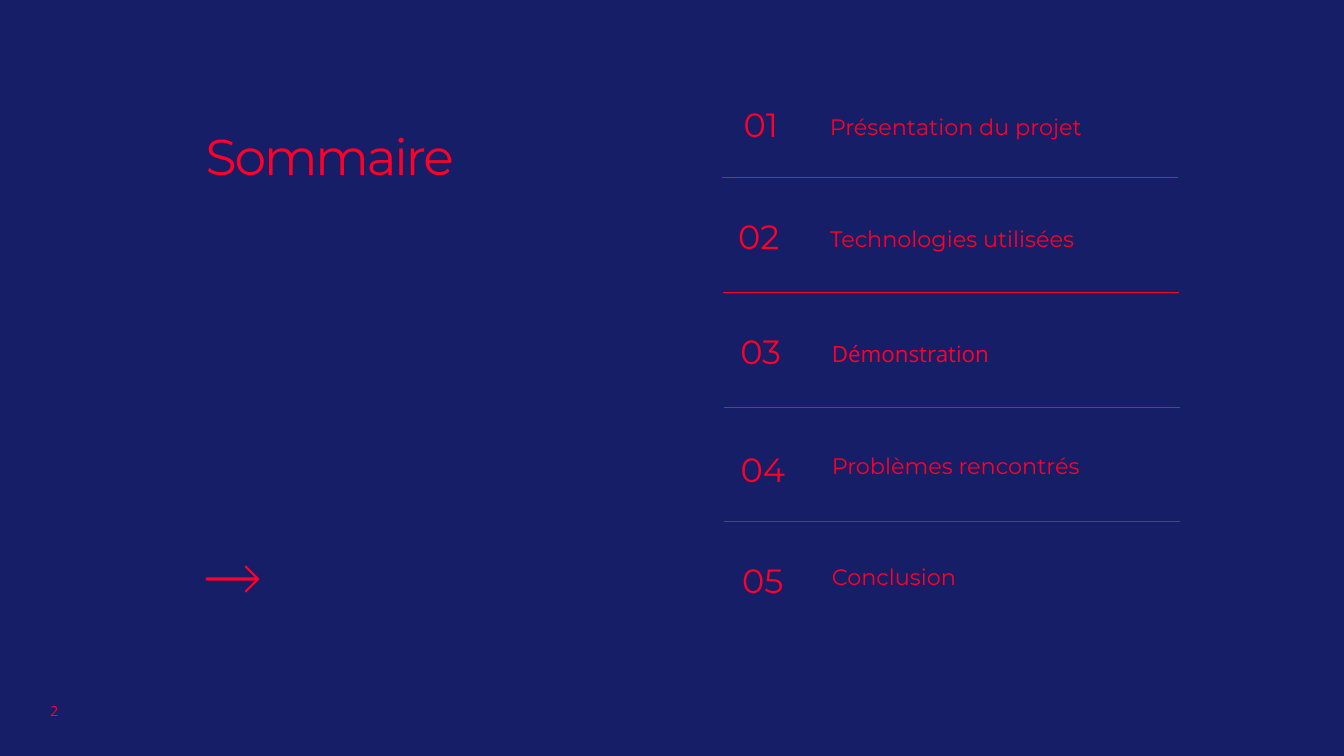
from dataclasses import dataclass
from lxml import etree
from pptx import Presentation
from pptx.dml.color import RGBColor
from pptx.enum import shapes, text
from pptx.oxml import ns
from pptx.util import Inches, Pt


@dataclass(frozen=True)
class Theme:
    night: RGBColor = RGBColor.from_string("151E67")
    red: RGBColor = RGBColor.from_string("FF0028")
    faint: RGBColor = RGBColor.from_string("434881")
    heading_font: str = "Montserrat"
    plain_font: str = "Open Sans"
    title_size: int = 36
    number_size: int = 24
    entry_size: int = 16
    page_size: int = 10


THEME = Theme()
TITLE = "Sommaire"
PAGE_NUMBER = "2"
ENTRIES = [
    ("Présentation du projet", THEME.heading_font, (8.23, 1.15), (7.2, 1.09)),
    ("Technologies utilisées", THEME.heading_font, (8.23, 2.26), (7.18, 2.2)),
    ("Démonstration", THEME.plain_font, (8.25, 3.4), (7.2, 3.34)),
    ("Problèmes rencontrés", THEME.heading_font, (8.25, 4.51), (7.22, 4.51)),
    ("Conclusion", THEME.heading_font, (8.25, 5.61), (7.22, 5.61)),
]
RULE_WIDTH = 4.52
RULES = [
    (7.16, 1.76, THEME.red, 1),
    (7.17, 2.9, THEME.red, 1),
    (7.18, 4.04, THEME.red, 1),
    (7.18, 5.17, THEME.faint, 0.5),
]
ARROW = [
    (257, 574), (245, 562), (244, 561), (243, 562), (243, 563), (253, 573),
    (205, 573), (204, 574), (204, 575), (205, 576), (253, 576), (243, 586),
    (243, 587), (244, 588), (245, 587), (257, 575),
]


def style(frame, words, font, size, align, spacing=1.0):
    frame.word_wrap = True
    frame.text = words
    para = frame.paragraphs[0]
    para.alignment = align
    para.line_spacing = spacing
    para.font.name = font
    para.font.size = Pt(size)
    para.font.color.rgb = THEME.red
    return para


def add_box(page, place, size, margin):
    box = page.shapes.add_textbox(*map(Inches, (*place, *size)))
    frame = box.text_frame
    frame.margin_left = frame.margin_right = 0
    frame.margin_top = frame.margin_bottom = Inches(margin)
    return frame


def add_title(page):
    title = page.shapes.title
    title.left, title.top, title.width, title.height = map(Inches, (2.04, 1.15, 4.62, 1.77))
    frame = title.text_frame
    frame.margin_left = frame.margin_right = frame.margin_bottom = 0
    frame.margin_top = Inches(0.21)
    frame.vertical_anchor = text.MSO_ANCHOR.TOP
    frame.auto_size = text.MSO_AUTO_SIZE.NONE
    para = style(frame, TITLE, THEME.heading_font, THEME.title_size, text.PP_ALIGN.LEFT, 0.8)
    para.runs[0].font._element.set("spc", "-150")


def add_entry(page, number, entry):
    words, font, words_at, number_at = entry
    parts = [
        (words_at, (3.02, 0.29), words, font, THEME.entry_size, text.PP_ALIGN.LEFT),
        (number_at, (0.69, 0.39), f"{number:02d}", THEME.heading_font,
         THEME.number_size, text.PP_ALIGN.CENTER),
    ]
    for place, size, words, font, points, align in parts:
        frame = add_box(page, place, size, 0.05)
        style(frame, words, font, points, align, 0.7)
        frame.auto_size = text.MSO_AUTO_SIZE.SHAPE_TO_FIT_TEXT


def add_rule(page, left, top, color, weight):
    rule = page.shapes.add_connector(
        shapes.MSO_CONNECTOR.STRAIGHT,
        Inches(left), Inches(top), Inches(left + RULE_WIDTH), Inches(top))
    rule.line.color.rgb = color
    rule.line.width = Pt(weight)
    etree.SubElement(rule._element.spPr, ns.qn("a:effectLst"))


def add_arrow(page):
    builder = page.shapes.build_freeform(*ARROW[0], scale=Inches(0.01))
    builder.add_line_segments(ARROW[1:], close=True)
    arrow = builder.convert_to_shape()
    arrow.shadow.inherit = False
    arrow.fill.solid()
    arrow.fill.fore_color.rgb = THEME.red
    arrow.line.fill.background()


def main():
    deck = Presentation()
    deck.slide_width, deck.slide_height = Inches(13.33), Inches(7.5)
    page = deck.slides.add_slide(deck.slide_layouts[5])
    page.background.fill.solid()
    page.background.fill.fore_color.rgb = THEME.night

    add_title(page)
    add_arrow(page)
    for rule in RULES:
        add_rule(page, *rule)
    for number, entry in enumerate(ENTRIES, 1):
        add_entry(page, number, entry)

    frame = add_box(page, (0.26, 6.93), (0.56, 0.25), 0)
    frame.vertical_anchor = text.MSO_ANCHOR.MIDDLE
    style(frame, PAGE_NUMBER, THEME.plain_font, THEME.page_size, text.PP_ALIGN.CENTER)
    deck.save("out.pptx")


if __name__ == "__main__":
    main()
